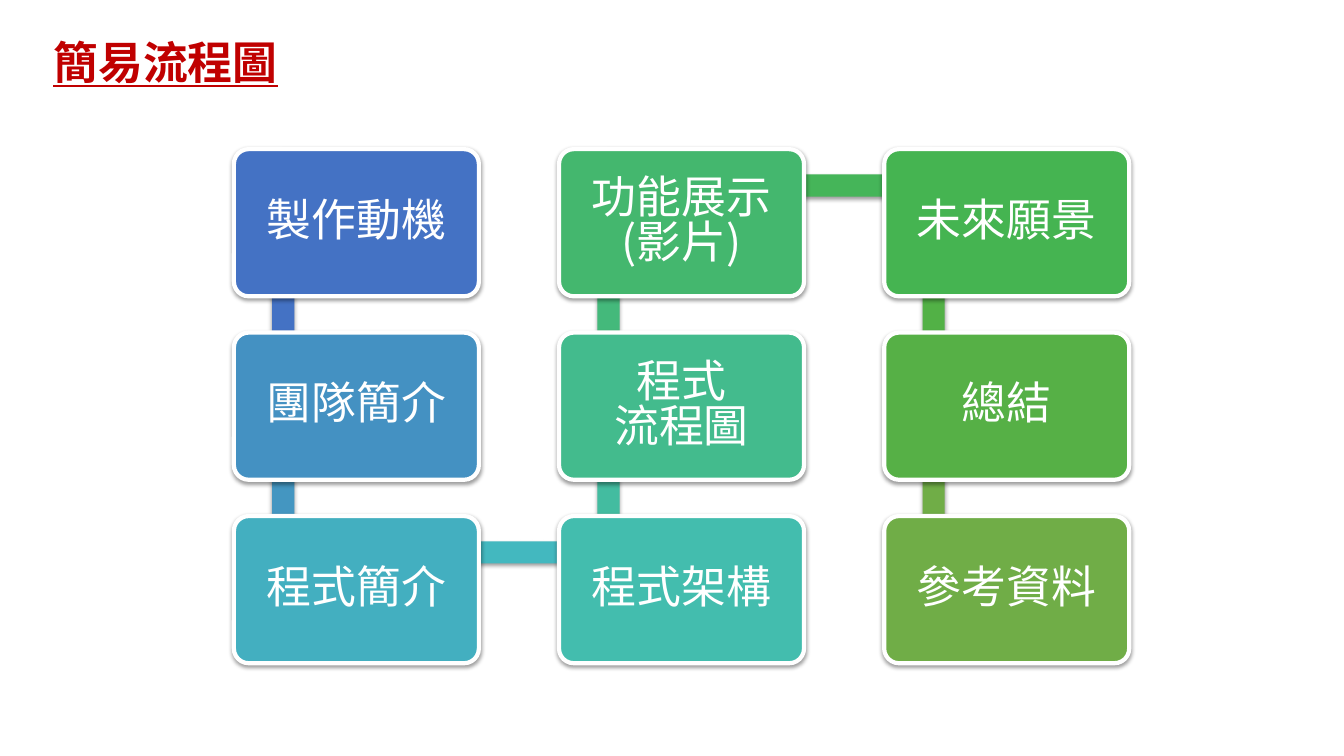
from dataclasses import dataclass

from lxml import etree
from pptx import Presentation
from pptx.dml.color import RGBColor
from pptx.enum.shapes import MSO_SHAPE
from pptx.enum.text import MSO_ANCHOR, MSO_AUTO_SIZE, PP_ALIGN
from pptx.oxml.ns import qn
from pptx.util import Inches, Pt

RECT = MSO_SHAPE.RECTANGLE
ROUNDED = MSO_SHAPE.ROUNDED_RECTANGLE
MIDDLE, TOP = MSO_ANCHOR.MIDDLE, MSO_ANCHOR.TOP
CENTER, LEFT = PP_ALIGN.CENTER, PP_ALIGN.LEFT
NO_FIT = MSO_AUTO_SIZE.NONE
TITLE_ONLY = 5


@dataclass(frozen=True)
class Theme:
    font: str = "Noto Sans CJK SC"
    size: int = 32
    title: str = "C00000"
    white: str = "FFFFFF"
    shadow: str = "000000"
    border: int = 3
    line_spacing: float = 0.84


THEME = Theme()

ROWS = 3
GRID_LEFT, GRID_TOP = 2.32, 1.48
COL_STEP, ROW_STEP = 3.225, 1.82
BOX_W, BOX_H = 2.43, 1.46
JOINT_X, JOINT_Y = 0.49, 0.36
BAR = 0.22

STEPS = [
    ("製作動機", "4472C4", "4472C4"),
    ("團隊簡介", "4491C2", "4496C1"),
    ("程式簡介", "43AFC0", "43B8BF"),
    ("程式架構", "43BDAE", "43BCA0"),
    ("程式\n流程圖", "43BB8D", "44B97B"),
    ("功能展示(影片)", "44B76E", "45B559"),
    ("未來願景", "45B451", "52B146"),
    ("總結", "56B046", "70AD47"),
    ("參考資料", "70AD47", None),
]


def rgb(value):
    return RGBColor.from_string(value)


def box_origin(index):
    col, row = divmod(index, ROWS)
    if col % 2:
        row = ROWS - 1 - row
    return GRID_LEFT + col * COL_STEP, GRID_TOP + row * ROW_STEP


def add_shadow(sp):
    sp.shadow.inherit = False
    effects = sp._element.spPr.find(qn("a:effectLst"))
    outer = etree.SubElement(
        effects, qn("a:outerShdw"), blurRad=str(Pt(3.1)), dist=str(Pt(1.6)),
        dir="5400000", algn="ctr", rotWithShape="0")
    color = etree.SubElement(outer, qn("a:srgbClr"), val=THEME.shadow)
    etree.SubElement(color, qn("a:alpha"), val="38000")


def add_block(s, kind, left, top, width, height, fill):
    sp = s.shapes.add_shape(kind, *map(Inches, (left, top, width, height)))
    sp.fill.solid()
    sp.fill.fore_color.rgb = rgb(fill)
    sp.line.fill.background()
    add_shadow(sp)
    return sp


def format_frame(tf, anchor, wrap, inset_x, inset_y):
    tf.word_wrap = wrap
    tf.auto_size = NO_FIT
    tf.vertical_anchor = anchor
    tf.margin_left = tf.margin_right = Inches(inset_x)
    tf.margin_top = tf.margin_bottom = Inches(inset_y)


def write(tf, text, color, align, emphasis=False):
    p = tf.paragraphs[0]
    p.alignment = align
    p.line_spacing = THEME.line_spacing
    for i, line in enumerate(text.split("\n")):
        if i:
            p.add_line_break()
        r = p.add_run()
        r.text = line
        r.font.name = THEME.font
        r.font.size = Pt(THEME.size)
        r.font.bold = r.font.underline = emphasis
        r.font.color.rgb = rgb(color)
        etree.SubElement(r._r.get_or_add_rPr(), qn("a:ea"), typeface=THEME.font)


def add_title(s, text):
    sp = s.shapes.title
    sp.left, sp.top, sp.width, sp.height = map(Inches, (0.43, 0.38, 2.44, 0.64))
    format_frame(sp.text_frame, TOP, False, 0.1, 0.05)
    write(sp.text_frame, text, THEME.title, LEFT, emphasis=True)


def add_bar(s, index, fill):
    (x1, y1), (x2, y2) = box_origin(index), box_origin(index + 1)
    left, top = min(x1, x2) + JOINT_X, min(y1, y2) + JOINT_Y
    if x1 == x2:
        add_block(s, RECT, left - BAR / 2, top, BAR, ROW_STEP, fill)
    else:
        add_block(s, RECT, left, top - BAR / 2, COL_STEP, BAR, fill)


def add_box(s, index, text, fill):
    sp = add_block(s, ROUNDED, *box_origin(index), BOX_W, BOX_H, fill)
    sp.adjustments[0] = 0.1
    sp.line.color.rgb = rgb(THEME.white)
    sp.line.width = Pt(THEME.border)
    format_frame(sp.text_frame, MIDDLE, True, 0.13, 0.13)
    write(sp.text_frame, text, THEME.white, CENTER)


def main():
    prs = Presentation()
    prs.slide_width, prs.slide_height = Inches(13.33), Inches(7.5)
    s = prs.slides.add_slide(prs.slide_layouts[TITLE_ONLY])
    add_title(s, "簡易流程圖")
    for i, (text, fill, bar_fill) in enumerate(STEPS):
        if bar_fill:
            add_bar(s, i, bar_fill)
        add_box(s, i, text, fill)
    prs.save("out.pptx")


main()
